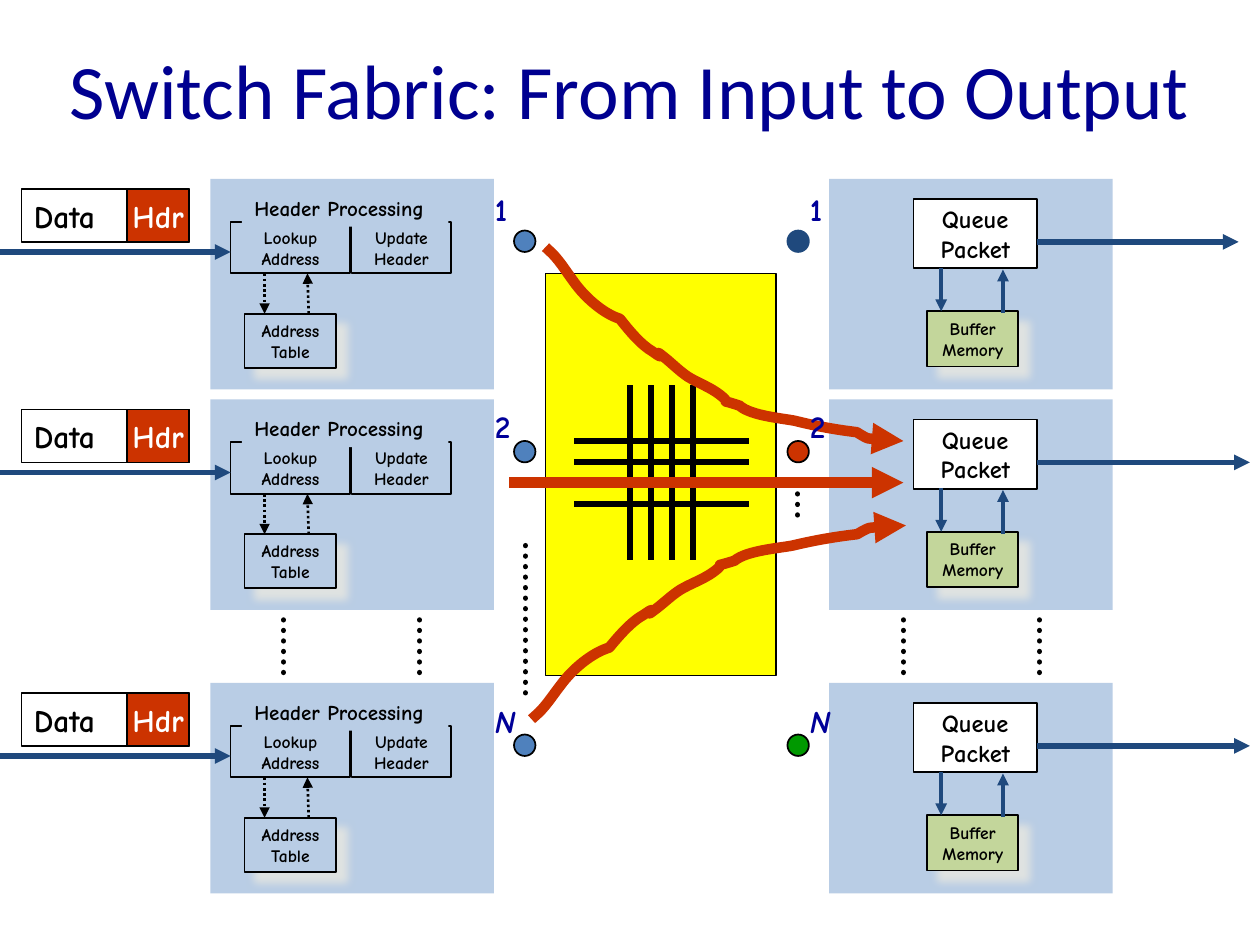
from dataclasses import dataclass
from typing import Optional

from lxml import etree
from pptx import Presentation
from pptx import util as u
from pptx.dml.color import RGBColor
from pptx.enum import dml, shapes, text
from pptx.oxml.ns import qn

BLACK, WHITE, NAVY, RED, PALE = "000000", "FFFFFF", "1F497D", "CC3300", "B9CDE5"
ALIGN = text.PP_ALIGN
RECT, DISC = shapes.MSO_SHAPE.RECTANGLE, shapes.MSO_SHAPE.OVAL


@dataclass
class Box:
    left: float
    top: float
    width: float
    height: float
    fill: str = PALE
    edge: Optional[str] = BLACK
    words: str = ""
    size: float = 10
    ink: str = BLACK
    align: int = ALIGN.CENTER
    shade: bool = False
    kind: int = RECT
    rim: float = 1


@dataclass
class Line:
    x1: float
    y1: float
    x2: float
    y2: float
    hue: str = BLACK
    width: float = 3
    dots: bool = False
    head: bool = False


@dataclass
class Row:
    top: float
    name: str
    dot: float
    label: float
    port: str
    rim: str
    end: float
    wide: tuple


def paint(target, hue: str) -> None:
    target.rgb = RGBColor.from_string(hue)


def write(frame, words: str, size: float, ink: str, align: int,
          face: str = "Comic Neue", bold: bool = True, slant: bool = False) -> None:
    frame.text = words
    for para in frame.paragraphs:
        para.alignment = align
        font = para.font
        font.name, font.size = face, u.Pt(size)
        font.bold, font.italic = bold, slant
        paint(font.color, ink)


def add_shade(shape) -> None:
    effect = shape._element.spPr.find(qn("a:effectLst"))
    outer = etree.SubElement(effect, qn("a:outerShdw"), blurRad=str(u.Pt(5)),
                             dist=str(u.Pt(8.5)), dir="2700000", algn="ctr")
    hue = etree.SubElement(outer, qn("a:srgbClr"), val="EEECE1")
    etree.SubElement(hue, qn("a:alpha"), val="75000")


def add_head(line) -> None:
    etree.SubElement(line._get_or_add_ln(), qn("a:tailEnd"), type="triangle")


def set_cap(line, cap: str) -> None:
    line._get_or_add_ln().set("cap", cap)


def draw_box(slide, box: Box) -> None:
    shape = slide.shapes.add_shape(box.kind, u.Inches(box.left), u.Inches(box.top),
                                   u.Inches(box.width), u.Inches(box.height))
    shape.shadow.inherit = False
    shape.fill.solid()
    paint(shape.fill.fore_color, box.fill)
    if box.edge:
        paint(shape.line.color, box.edge)
        shape.line.width = u.Pt(box.rim)
    else:
        shape.line.fill.background()
    if box.shade:
        add_shade(shape)
    if box.words:
        frame = shape.text_frame
        frame.word_wrap = False
        frame.vertical_anchor = text.MSO_ANCHOR.MIDDLE
        write(frame, box.words, box.size, box.ink, box.align)


def draw_line(slide, line: Line) -> None:
    link = slide.shapes.add_connector(shapes.MSO_CONNECTOR.STRAIGHT,
                                      u.Inches(line.x1), u.Inches(line.y1),
                                      u.Inches(line.x2), u.Inches(line.y2))
    etree.SubElement(link._element.spPr, qn("a:effectLst"))
    paint(link.line.color, line.hue)
    link.line.width = u.Pt(line.width)
    if line.dots:
        link.line.dash_style = dml.MSO_LINE.ROUND_DOT
    if line.width > 2:
        set_cap(link.line, "rnd" if line.dots else "sq")
    if line.head:
        add_head(link.line)


def draw_label(slide, left: float, top: float, width: float, name: str) -> None:
    box = slide.shapes.add_textbox(u.Inches(left), u.Inches(top), u.Inches(width), u.Inches(0.4))
    box.text_frame.word_wrap = False
    box.text_frame.auto_size = text.MSO_AUTO_SIZE.SHAPE_TO_FIT_TEXT
    write(box.text_frame, name, 18, "000099", ALIGN.LEFT, slant=name == "N")


def bend(shape) -> None:
    legs = list(shape._element.iter(qn("a:lnTo")))
    for i in range(0, len(legs), 3):
        curve = etree.Element(qn("a:cubicBezTo"))
        legs[i].addprevious(curve)
        for leg in legs[i:i + 3]:
            curve.append(leg[0])
            leg.getparent().remove(leg)


def draw_curve(slide, knots: list) -> None:
    first, *rest = [(u.Inches(x), u.Inches(y)) for x, y in knots]
    pen = slide.shapes.build_freeform(*first, scale=1.0)
    pen.add_line_segments(rest, close=False)
    shape = pen.convert_to_shape()
    bend(shape)
    shape.shadow.inherit = False
    shape.fill.background()
    paint(shape.line.color, RED)
    shape.line.width = u.Pt(6)
    set_cap(shape.line, "sq")
    add_head(shape.line)


def draw_input(slide, top: float) -> None:
    group = slide.shapes.add_group_shape()
    for box in (
        Box(1.67, top, 2.25, 1.67, edge=None),
        Box(1.83, top + 0.34, 0.95, 0.41, words="Lookup\nAddress"),
        Box(2.79, top + 0.34, 0.79, 0.41, words="Update\nHeader"),
        Box(1.92, top + 0.08, 1.64, 0.3, edge=None, words="Header Processing",
            size=12, align=ALIGN.LEFT),
        Box(1.94, top + 1.07, 0.73, 0.43, words="Address\nTable", shade=True),
    ):
        draw_box(group, box)
    for x1, y1, x2, y2 in ((2.1, 0.75, 2.1, 1.07), (2.45, 1.07, 2.44, 0.75)):
        draw_line(group, Line(x1, top + y1, x2, top + y2, width=1.5, dots=True, head=True))


def draw_packet(slide, top: float) -> None:
    draw_box(slide, Box(0.17, top, 1.33, 0.42, WHITE, words="Data", size=18, align=ALIGN.LEFT))
    draw_box(slide, Box(1.01, top, 0.49, 0.42, RED, words="Hdr", size=18, ink=WHITE))


def draw_output(slide, top: float, end: float) -> None:
    for box in (
        Box(6.58, top, 2.25, 1.67, edge=None),
        Box(7.25, top + 0.16, 0.98, 0.55, WHITE, words="Queue\nPacket", size=14),
        Box(7.36, top + 1.05, 0.72, 0.44, "C3D69B", words="Buffer\nMemory", shade=True),
    ):
        draw_box(slide, box)
    for line in (
        Line(7.47, top + 0.72, 7.47, top + 1.05, NAVY, 2.25, head=True),
        Line(7.96, top + 1.05, 7.96, top + 0.72, NAVY, 2.25, head=True),
        Line(8.25, top + 0.5, end, top + 0.5, NAVY, head=True),
    ):
        draw_line(slide, line)


ROWS = [
    Row(1.42, "1", 1.83, 1.46, NAVY, NAVY, 9.83, (0.31, 0.31)),
    Row(3.17, "2", 3.5, 3.18, RED, BLACK, 9.92, (0.35, 0.35)),
    Row(5.42, "N", 5.83, 5.52, "009900", BLACK, 9.92, (0.48, 0.4)),
]
KNOTS = [
    (4.36, 1.99), (4.43, 2.05), (4.49, 2.15), (4.55, 2.23), (4.64, 2.36), (4.79, 2.49),
    (4.92, 2.53), (4.99, 2.62), (5.09, 2.74), (5.18, 2.79), (5.33, 2.9), (5.13, 2.72),
    (5.29, 2.85), (5.35, 2.9), (5.4, 2.95), (5.46, 2.99), (5.54, 3.04), (5.63, 3.07),
    (5.71, 3.13), (5.84, 3.23), (5.66, 3.15), (5.87, 3.22), (5.96, 3.3), (6.21, 3.32),
    (6.31, 3.34), (6.47, 3.38), (6.63, 3.41), (6.8, 3.43), (6.91, 3.5), (7.04, 3.5),
    (7.17, 3.5),
]


def main() -> None:
    deck = Presentation()
    deck.slide_width, deck.slide_height = u.Inches(10), u.Inches(7.5)
    slide = deck.slides.add_slide(deck.slide_layouts[6])
    draw_box(slide, Box(4.33, 2.17, 1.83, 3.19, "FFFF00", rim=0.75))
    title = slide.shapes.add_textbox(0, u.Inches(0.08), u.Inches(10), u.Inches(1.25)).text_frame
    title.word_wrap = True
    title.vertical_anchor = text.MSO_ANCHOR.MIDDLE
    write(title, "Switch Fabric: From Input to Output", 44, "000090", ALIGN.CENTER,
          "Calibri", False)
    for row in ROWS:
        draw_input(slide, row.top)
    for row in ROWS:
        y = row.top + 0.58
        draw_line(slide, Line(-0.08, y, 1.83, y, NAVY, head=True))
        draw_output(slide, row.top, row.end)
    for x in (2.25, 3.33, 7.17, 8.25):
        draw_line(slide, Line(x, 4.92, x, 5.42, dots=True))
    for row in ROWS:
        draw_box(slide, Box(6.25, row.dot, 0.17, 0.17, row.port, row.rim, kind=DISC))
        draw_box(slide, Box(4.08, row.dot, 0.17, 0.17, "4F81BD", kind=DISC))
    mesh = slide.shapes.add_group_shape()
    for i in range(4):
        x, y = 5 + i / 6, 3.5 + i / 6
        draw_line(mesh, Line(x, 3.08, x, 4.42))
        draw_line(mesh, Line(4.58, y, 5.92, y))
    packs = slide.shapes.add_group_shape()
    for row in ROWS:
        draw_packet(packs, row.top + 0.08)
    flows = slide.shapes.add_group_shape()
    draw_curve(flows, KNOTS)
    draw_curve(flows, [(4.25 + (x - 4.36) * 2.94 / 2.81, 7.67 - y) for x, y in KNOTS])
    draw_line(flows, Line(4.08, 3.83, 7.17, 3.83, RED, 6, head=True))
    draw_line(flows, Line(4.17, 4.33, 4.17, 5.5, dots=True))
    draw_line(flows, Line(6.33, 3.92, 6.33, 4.17, dots=True))
    for row in ROWS:
        for x, width in zip((3.83, 6.33), row.wide):
            draw_label(slide, x, row.label, width, row.name)
    deck.save("out.pptx")


if __name__ == "__main__":
    main()
